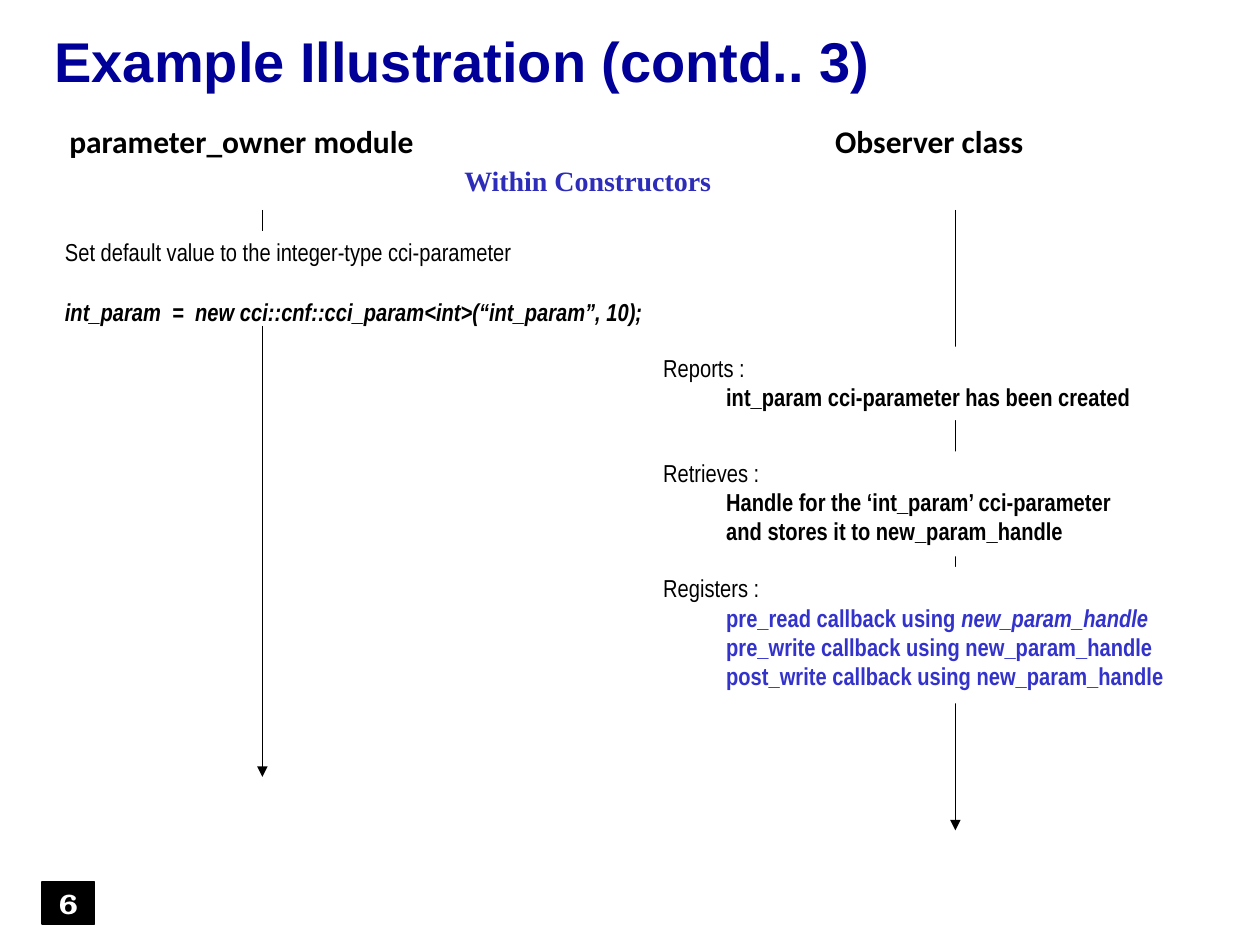
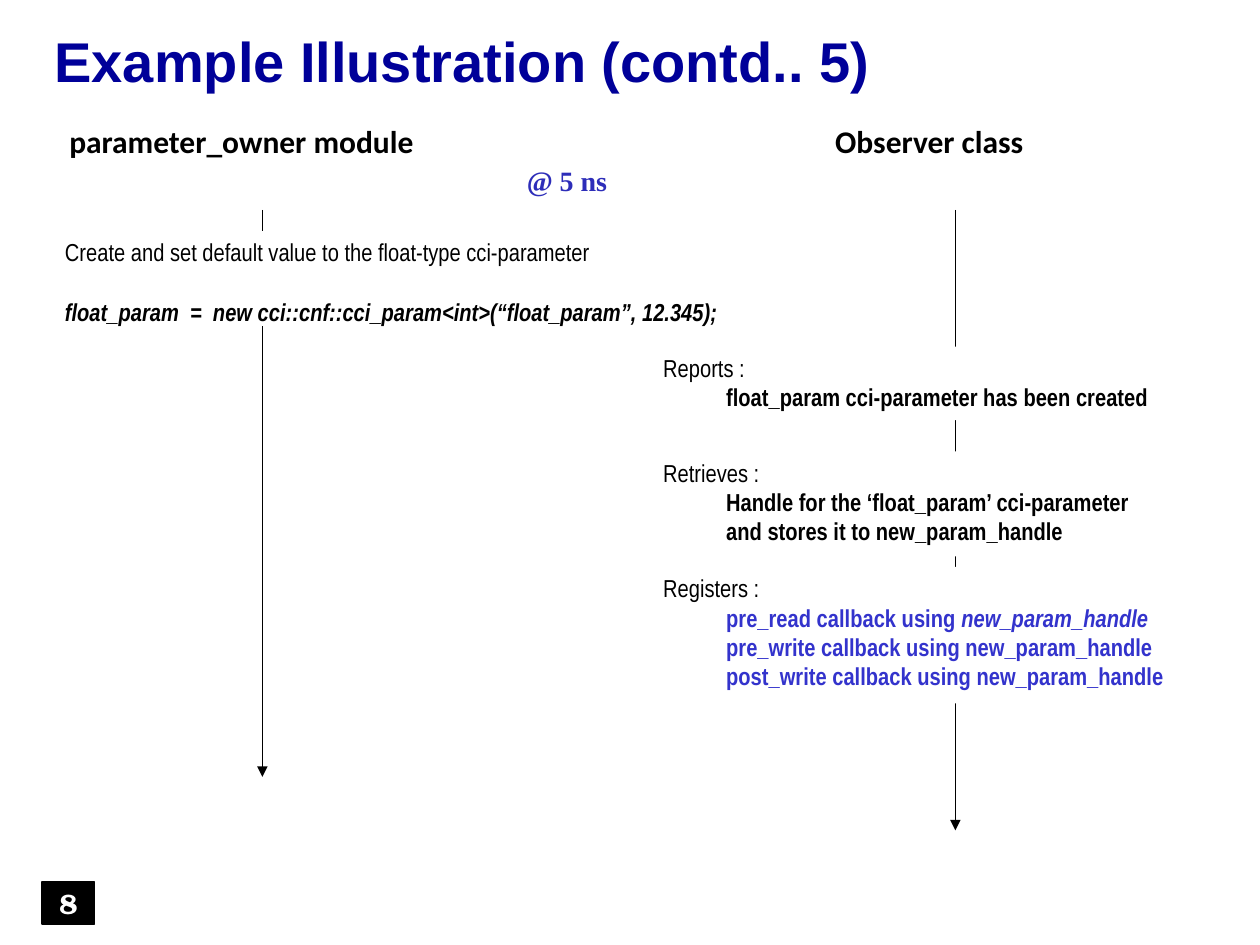
from lxml import etree
from pptx import Presentation
from pptx.dml.color import RGBColor
from pptx.enum.shapes import MSO_CONNECTOR, MSO_SHAPE
from pptx.enum.text import MSO_ANCHOR, PP_ALIGN
from pptx.oxml.ns import qn
from pptx.util import Cm, Pt

RECT = MSO_SHAPE.RECTANGLE
STRAIGHT = MSO_CONNECTOR.STRAIGHT
TOP, MIDDLE = MSO_ANCHOR.TOP, MSO_ANCHOR.MIDDLE
LEFT, CENTER = PP_ALIGN.LEFT, PP_ALIGN.CENTER
BLACK, WHITE = "000000", "FFFFFF"
TITLE_BLUE, TIME_BLUE, CALLBACK_BLUE = "000099", "2D2DB9", "3333CC"
OWNER_X, OBSERVER_X = 5.29, 19.26
LIFELINE_TOP = 4.23
NOTE_X = 13.12
INDENT = Cm(1.27)


def rgb(value):
    return RGBColor.from_string(value)


class SequenceDeck:
    """Draws sequence slides with one shared style."""

    def __init__(self):
        self.prs = Presentation()
        self.prs.slide_width, self.prs.slide_height = Cm(25.4), Cm(19.05)
        self.s = None

    def new_slide(self, title, number):
        self.s = self.prs.slides.add_slide(self.prs.slide_layouts[6])
        sp = self.s.shapes.add_textbox(Cm(0.85), Cm(0.61), Cm(23.95), Cm(1.5))
        self.label(sp, title, "Arial", 32, TITLE_BLUE, LEFT)
        sp.text_frame.paragraphs[0].line_spacing = 0.85
        sp = self.box(0.85, 17.78, 1.06, 0.85, BLACK)
        sp.line.color.rgb = rgb(BLACK)
        sp.line.width = Pt(0.75)
        self.label(sp, str(number), "TeX Gyre Bonum", 16, WHITE)
        sp.text_frame.word_wrap = False
        sp.text_frame.vertical_anchor = MIDDLE

    def box(self, x, y, w, h, fill=WHITE):
        sp = self.s.shapes.add_shape(RECT, Cm(x), Cm(y), Cm(w), Cm(h))
        sp.shadow.inherit = False
        sp.fill.solid()
        sp.fill.fore_color.rgb = rgb(fill)
        sp.line.fill.background()
        return sp

    def font(self, item, name, size, color, bold=False, italic=False):
        f = item.font
        f.name, f.size, f.bold, f.italic = name, Pt(size), bold, italic
        f.color.rgb = rgb(color)

    def label(self, sp, text, name, size, color, align=CENTER):
        tf = sp.text_frame
        tf.word_wrap, tf.vertical_anchor = True, TOP
        tf.text = text
        p = tf.paragraphs[0]
        p.alignment = align
        self.font(p.runs[0], name, size, color, bold=True)

    def heading(self, x, w, text):
        self.label(self.box(x, 2.33, w, 1.06), text, "Calibri", 18, BLACK)

    def time_label(self, x, w, text):
        self.label(self.box(x, 3.18, w, 0.85), text, "Times New Roman", 16, TIME_BLUE)

    def note(self, x, y, w, h, intro, lines, color=BLACK, indent=INDENT, gap=0):
        """Write a plain intro and bold lines of (text, italic) runs."""
        tf = self.box(x, y, w, h).text_frame
        tf.word_wrap, tf.vertical_anchor = True, TOP
        tf.text = intro
        p = tf.paragraphs[0]
        p.alignment = LEFT
        self.font(p.runs[0], "Arial Narrow", 14, BLACK)
        for runs in lines:
            p = tf.add_paragraph()
            p.alignment = LEFT
            p.space_before = Pt(gap)
            p._p.get_or_add_pPr().set("marL", str(indent))
            for text, italic in runs:
                r = p.add_run()
                r.text = text
                self.font(r, "Arial Narrow", 14, color, True, italic)

    def lifeline(self, x, bottom):
        c = self.s.shapes.add_connector(STRAIGHT, Cm(x), Cm(LIFELINE_TOP), Cm(x), Cm(bottom))
        c.line.color.rgb = rgb(BLACK)
        c.line.width = Pt(0.75)
        etree.SubElement(c.line._get_or_add_ln(), qn("a:tailEnd"), type="triangle")
        etree.SubElement(c._element.spPr, qn("a:effectLst"))

    def exchange(self, part, number, time, action, param, value, action_w, retrieve_w):
        self.new_slide(f"Example Illustration (contd.. {part})", number)
        self.lifeline(OBSERVER_X, 16.74)
        self.lifeline(OWNER_X, 15.66)
        self.heading(15.03, 7.41, "Observer class")
        self.heading(0.85, 8.04, "parameter_owner module")
        self.time_label(*time)
        code = f"{param}  =  new cci::cnf::cci_param<int>(“{param}”, {value});"
        self.note(1.06, 4.66, action_w, 1.91, action, [[(code, True)]], indent=0, gap=17)
        self.note(NOTE_X, 6.99, 10.37, 1.48, "Reports :",
                  [[(f"{param} cci-parameter has been created", False)]])
        self.note(NOTE_X, 9.1, retrieve_w, 2.12, "Retrieves :",
                  [[(f"Handle for the ‘{param}’ cci-parameter", False)],
                   [("and stores it to new_param_handle", False)]])
        self.note(NOTE_X, 11.43, 11.01, 2.75, "Registers :",
                  [[("pre_read callback using ", False), ("new_param_handle", True)],
                   [("pre_write callback using new_param_handle", False)],
                   [("post_write callback using new_param_handle", False)]],
                  CALLBACK_BLUE)


def main():
    deck = SequenceDeck()
    deck.exchange(3, 6, (8.04, 7.62, "Within Constructors"),
                  "Set default value to the integer-type cci-parameter",
                  "int_param", "10", 12.49, 10.37)
    deck.exchange(5, 8, (10.16, 2.54, "@ 5 ns"),
                  "Create and set default value to the float-type cci-parameter",
                  "float_param", "12.345", 13.97, 10.8)
    deck.prs.save("out.pptx")


if __name__ == "__main__":
    main()
